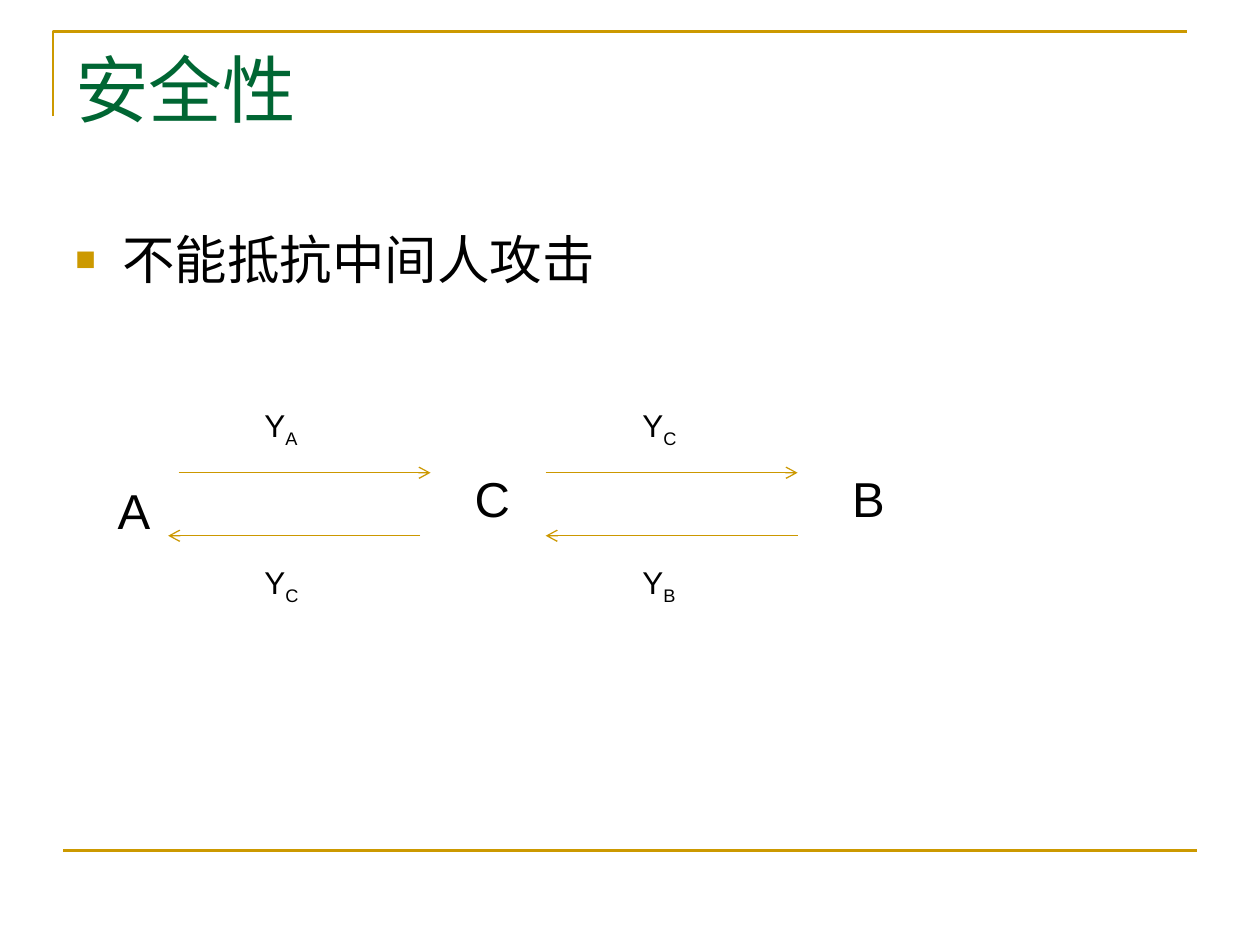
import dataclasses
import typing

import lxml.etree
import pptx
import pptx.dml.color
import pptx.enum.shapes
import pptx.enum.text
import pptx.oxml.ns
import pptx.util

Cm = pptx.util.Cm
Pt = pptx.util.Pt
qn = pptx.oxml.ns.qn
GOLD = pptx.dml.color.RGBColor(0xCC, 0x99, 0x00)
OCHRE = pptx.dml.color.RGBColor(0xCC, 0x98, 0x00)
GREEN = pptx.dml.color.RGBColor(0x00, 0x66, 0x33)
BLACK = pptx.dml.color.RGBColor(0x00, 0x00, 0x00)

FRAME = {
    "margin_left": Cm(0.25),
    "margin_right": Cm(0.25),
    "margin_top": Cm(0.13),
    "margin_bottom": Cm(0.13),
    "word_wrap": True,
    "vertical_anchor": pptx.enum.text.MSO_ANCHOR.TOP,
}


@dataclasses.dataclass(frozen=True)
class Label:
    text: str
    left: float
    top: float
    width: float
    height: float
    size: float
    sub: str = ""
    face: str = "Arial"
    color: pptx.dml.color.RGBColor = BLACK
    bullet: bool = False
    grow: bool = True


@dataclasses.dataclass(frozen=True)
class Line:
    start: float
    end: float
    top: float
    width: float = 0.75
    color: pptx.dml.color.RGBColor = OCHRE
    arrow: bool = True


def apply(target: typing.Any, style: dict) -> None:
    for name, value in style.items():
        setattr(target, name, value)


def add_mark(para: typing.Any) -> None:
    props = para._p.get_or_add_pPr()
    props.set("marL", str(Cm(0.95)))
    props.set("indent", str(-Cm(0.95)))
    color = lxml.etree.SubElement(props, qn("a:buClr"))
    lxml.etree.SubElement(color, qn("a:srgbClr")).set("val", str(GOLD))
    for tag, key, value in (
        ("a:buSzPct", "val", "65000"),
        ("a:buFont", "typeface", "Arial"),
        ("a:buChar", "char", "■"),
    ):
        lxml.etree.SubElement(props, qn(tag)).set(key, value)


def draw_label(slide: typing.Any, item: Label) -> None:
    box = slide.shapes.add_textbox(
        Cm(item.left), Cm(item.top), Cm(item.width), Cm(item.height)
    )
    apply(box.text_frame, FRAME)
    if item.grow:
        box.text_frame.auto_size = pptx.enum.text.MSO_AUTO_SIZE.SHAPE_TO_FIT_TEXT
    para = box.text_frame.paragraphs[0]
    if item.bullet:
        add_mark(para)
    for text, base in ((item.text, "0"), (item.sub, "-25000")):
        if text:
            run = para.add_run()
            run.text = text
            apply(run.font, {"name": item.face, "size": Pt(item.size)})
            run.font.color.rgb = item.color
            run.font._element.set("baseline", base)


def draw_line(slide: typing.Any, item: Line) -> None:
    line = slide.shapes.add_connector(
        pptx.enum.shapes.MSO_CONNECTOR.STRAIGHT,
        Cm(item.start), Cm(item.top), Cm(item.end), Cm(item.top),
    )
    line.line.width = Pt(item.width)
    line.line.color.rgb = item.color
    props = line._element.spPr
    if item.arrow:
        tail = lxml.etree.SubElement(props.find(qn("a:ln")), qn("a:tailEnd"))
        tail.set("type", "arrow")
    lxml.etree.SubElement(props, qn("a:effectLst"))


def draw_edge(slide: typing.Any) -> None:
    form = slide.shapes.build_freeform(Cm(1.07), Cm(2.34))
    form.add_line_segments(
        [(Cm(1.07), Cm(0.64)), (Cm(23.93), Cm(0.64))], close=False
    )
    edge = form.convert_to_shape()
    edge.shadow.inherit = False
    edge.fill.background()
    edge.line.color.rgb = GOLD
    edge.line.width = Pt(1.5)


def main() -> None:
    deck = pptx.Presentation()
    apply(deck, {"slide_width": Cm(25.4), "slide_height": Cm(19.05)})
    slide = deck.slides.add_slide(deck.slide_layouts[6])
    draw_edge(slide)

    lines = [
        Line(1.27, 24.13, 17.15, 1.5, GOLD, False),
        Line(3.6, 8.68, 9.53),
        Line(11, 16.08, 9.53),
        Line(8.47, 3.39, 10.8),
        Line(16.08, 11, 10.8),
    ]
    labels = [
        Label("安全性", 1.27, 0.76, 22.86, 3.18, 42,
              face="Times New Roman", color=GREEN, grow=False),
        Label("不能抵抗中间人攻击", 1.27, 4.45, 22.86, 12.57, 30,
              bullet=True, grow=False),
    ]
    for name, left, top in (("A", 2.12, 9.55), ("C", 9.32, 9.32), ("B", 16.93, 9.32)):
        labels.append(Label(name, left, top, 0.85, 1.44, 28))
    for top, subs in ((8.05, "AC"), (11.22, "CB")):
        for left, sub in zip((5.08, 12.7), subs):
            labels.append(Label("Y", left, top, 1.48, 1.12, 18, sub))

    for line in lines:
        draw_line(slide, line)
    for label in labels:
        draw_label(slide, label)
    deck.save("out.pptx")


if __name__ == "__main__":
    main()
